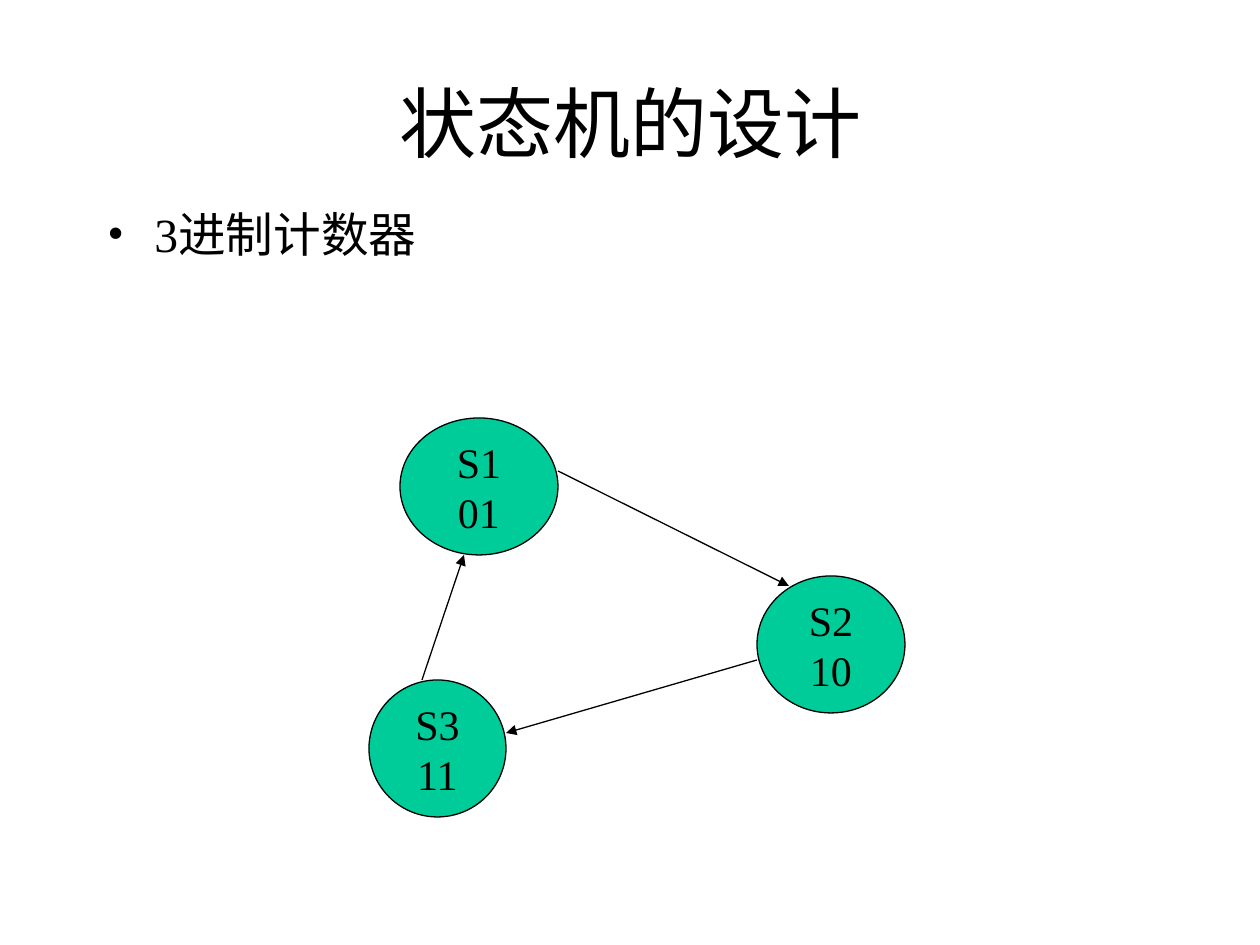
from dataclasses import dataclass

from lxml.etree import SubElement
from pptx import Presentation
from pptx.dml.color import RGBColor
from pptx.enum.shapes import MSO_CONNECTOR, MSO_SHAPE
from pptx.enum.text import MSO_ANCHOR, PP_ALIGN
from pptx.oxml.ns import qn
from pptx.util import Emu, Pt

PX_PER_INCH = 126
FONT = "Times New Roman"
BLACK = "000000"
GREEN = "00CC99"


@dataclass
class State:
    name: str
    code: str
    left: int
    top: int
    width: int
    height: int = 137


@dataclass
class Transition:
    start: tuple[int, int]
    end: tuple[int, int]


STATES = [
    State("S3", "11", 369, 680, 137),
    State("S1", "01", 400, 418, 158),
    State("S2", "10", 757, 576, 148),
]
TRANSITIONS = [
    Transition((558, 471), (789, 586)),
    Transition((757, 660), (506, 733)),
    Transition((422, 680), (464, 555)),
]


def px(length: int) -> Emu:
    return Emu(round(length * 914400 / PX_PER_INCH))


def colour(value: str) -> RGBColor:
    return RGBColor.from_string(value)


def add_span(para, text: str, size: float) -> None:
    span = para.add_run()
    span.text = text
    span.font.name = FONT
    span.font.size = Pt(size)
    span.font.color.rgb = colour(BLACK)


def add_text_box(page, left: int, top: int, width: int, height: int):
    box = page.shapes.add_textbox(px(left), px(top), px(width), px(height))
    box.text_frame.word_wrap = True
    return box.text_frame


def add_bullet(para, indent: int) -> None:
    properties = para._p.get_or_add_pPr()
    properties.set("marL", str(px(indent)))
    properties.set("indent", str(-px(indent)))
    bullet_colour = SubElement(properties, qn("a:buClr"))
    SubElement(bullet_colour, qn("a:srgbClr"), val=BLACK)
    SubElement(properties, qn("a:buFont"), typeface=FONT)
    SubElement(properties, qn("a:buChar"), char="•")


def draw_state(page, state: State) -> None:
    circle = page.shapes.add_shape(
        MSO_SHAPE.OVAL, px(state.left), px(state.top), px(state.width), px(state.height)
    )
    circle.shadow.inherit = False
    circle.fill.solid()
    circle.fill.fore_color.rgb = colour(GREEN)
    circle.line.color.rgb = colour(BLACK)
    circle.line.width = Pt(0.75)
    frame = circle.text_frame
    frame.word_wrap = False
    frame.vertical_anchor = MSO_ANCHOR.MIDDLE
    for para, text in ((frame.paragraphs[0], state.name), (frame.add_paragraph(), state.code)):
        para.alignment = PP_ALIGN.CENTER
        add_span(para, text, 24)


def draw_transition(page, transition: Transition) -> None:
    arrow = page.shapes.add_connector(
        MSO_CONNECTOR.STRAIGHT, *map(px, transition.start + transition.end)
    )
    arrow.line.color.rgb = colour(BLACK)
    arrow.line.width = Pt(0.75)
    SubElement(arrow.line._get_or_add_ln(), qn("a:tailEnd"), type="triangle")
    SubElement(arrow._element.spPr, qn("a:effectLst"))


def main() -> None:
    deck = Presentation()
    deck.slide_width, deck.slide_height = px(1260), px(945)
    page = deck.slides.add_slide(deck.slide_layouts[6])

    # Title, held in the upper part of its box
    frame = add_text_box(page, 95, 84, 1071, 158)
    frame.vertical_anchor = MSO_ANCHOR.MIDDLE
    frame.margin_bottom = px(88)
    title = frame.paragraphs[0]
    title.alignment = PP_ALIGN.CENTER
    add_span(title, "状态机的设计", 44)

    # Bullet
    topic = add_text_box(page, 95, 199, 1071, 73).paragraphs[0]
    topic.space_before = Pt(8)
    add_bullet(topic, 47)
    add_span(topic, "3进制计数器", 27.2)

    # State diagram
    for state in STATES:
        draw_state(page, state)
    for transition in TRANSITIONS:
        draw_transition(page, transition)

    deck.save("out.pptx")


if __name__ == "__main__":
    main()
